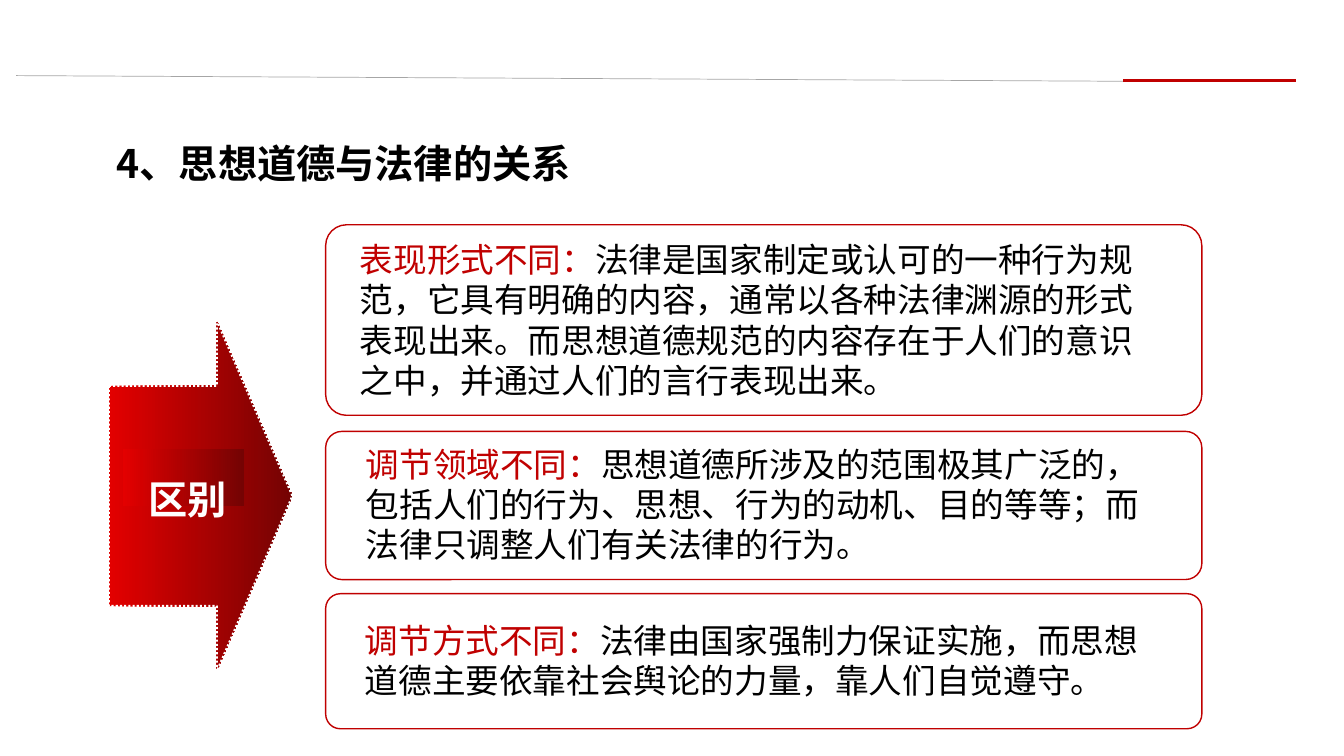
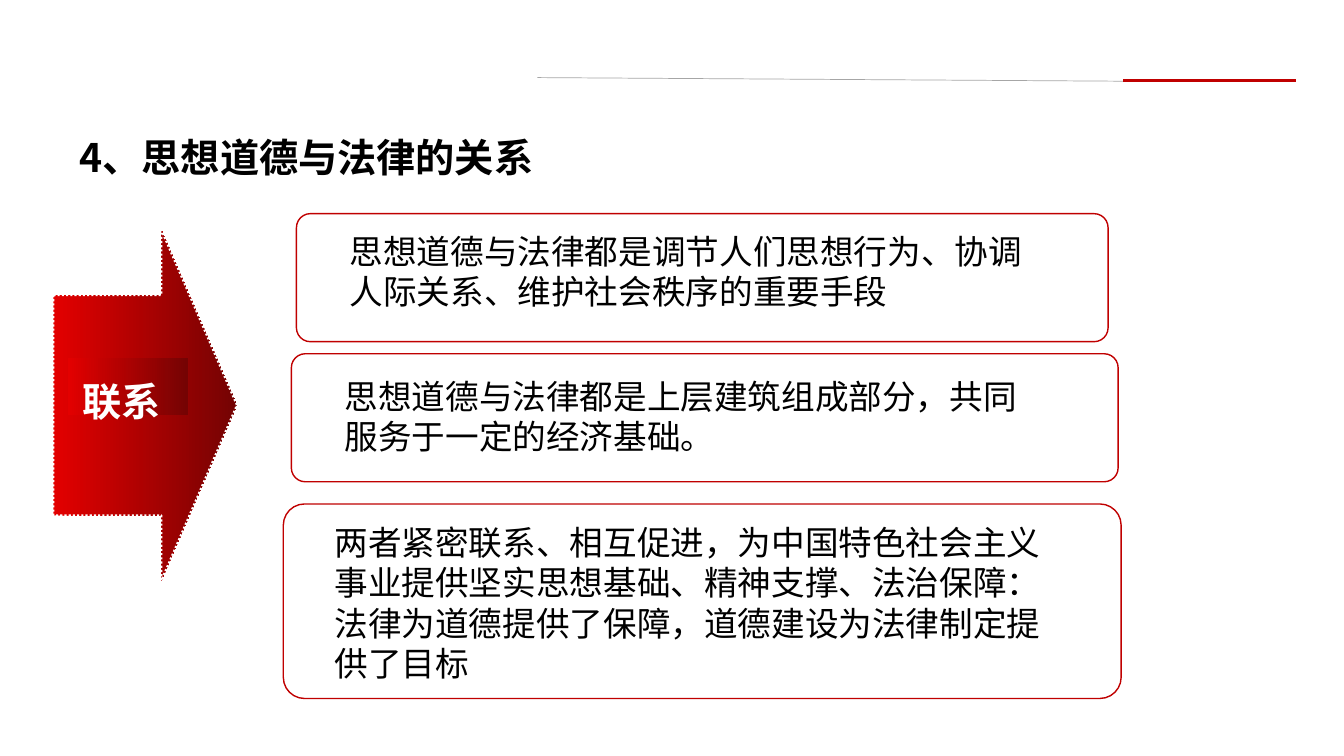
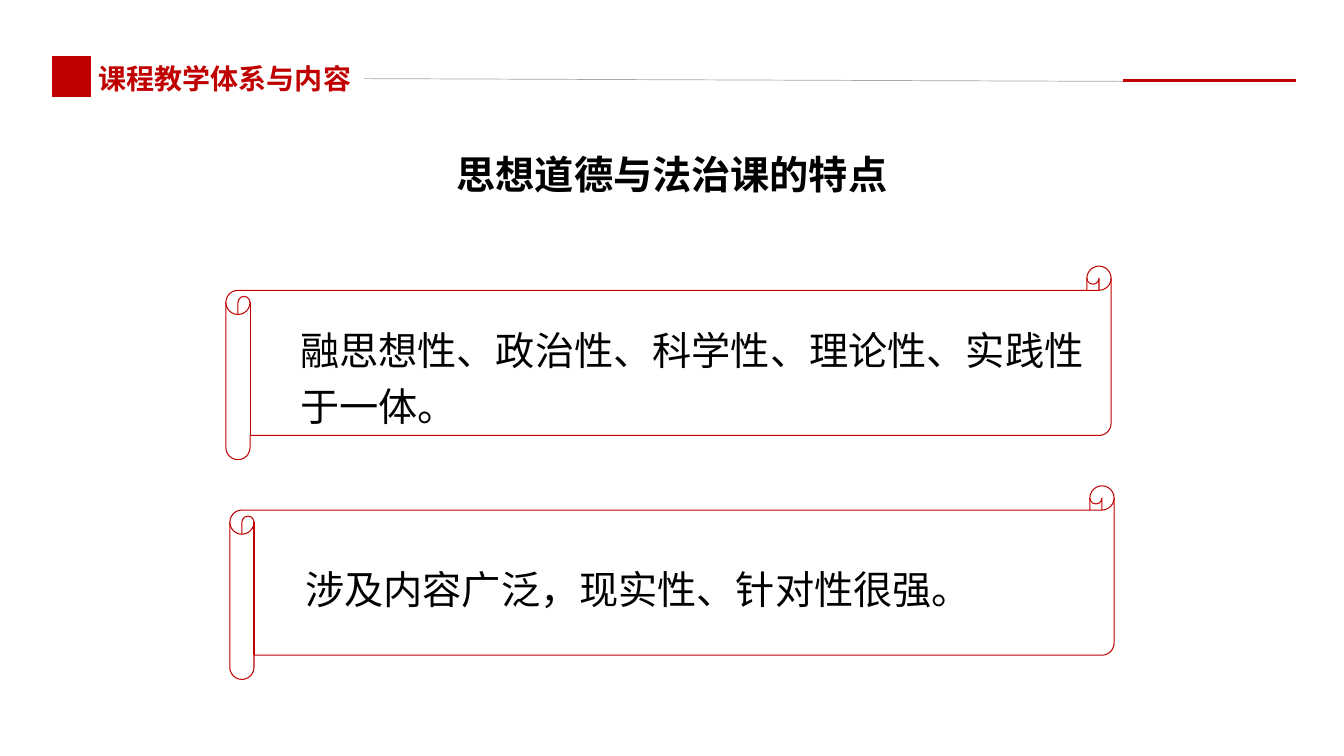
from dataclasses import dataclass

from lxml import etree
from pptx import Presentation
from pptx import util as u
from pptx.dml.color import RGBColor
from pptx.enum import dml, shapes, text
from pptx.oxml.ns import qn

PX = 9144


@dataclass(frozen=True)
class Theme:
    font: str = "Noto Sans CJK SC"
    red: str = "C00000"
    black: str = "000000"
    white: str = "FFFFFF"
    grey: str = "A6A6A6"
    arrow_light: str = "E30000"
    arrow_dark: str = "750303"
    heading: int = 28
    section: int = 20
    body: int = 24


THEME = Theme()
RELATION_TITLE = "4、思想道德与法律的关系"


def px(value):
    return u.Emu(value * PX)


def rgb(value):
    return RGBColor.from_string(value)


def add_rule(slide, start, end, color, width):
    rule = slide.shapes.add_connector(
        shapes.MSO_CONNECTOR.STRAIGHT, *map(px, start + end))
    rule.line.color.rgb = rgb(color)
    rule.line.width = u.Pt(width)
    etree.SubElement(rule._element.spPr, qn("a:effectLst"))


def add_outline(slide, preset, box, adjustments=(), color=None, width=1):
    outline = slide.shapes.add_shape(preset, *map(px, box))
    outline.shadow.inherit = False
    for index, value in enumerate(adjustments):
        outline.adjustments[index] = value
    outline.fill.background()
    if color:
        outline.line.color.rgb = rgb(color)
        outline.line.width = u.Pt(width)
    else:
        outline.line.fill.background()
    return outline


def add_text(slide, box, runs, size, bold=False, align=None, spacing=None, wrap=True):
    frame = slide.shapes.add_textbox(*map(px, box)).text_frame
    frame.word_wrap = wrap
    frame.auto_size = text.MSO_AUTO_SIZE.SHAPE_TO_FIT_TEXT
    paragraph = frame.paragraphs[0]
    paragraph.alignment = align
    paragraph.line_spacing = spacing
    for words, color in runs:
        run = paragraph.add_run()
        run.text = words
        run.font.size = u.Pt(size)
        run.font.bold = bold
        run.font.color.rgb = rgb(color)
        run.font.name = THEME.font
        etree.SubElement(run._r.rPr, qn("a:ea"), typeface=THEME.font)


def fill_gradient(part):
    part.fill.gradient()
    part.fill.gradient_angle = 0
    colors = (THEME.arrow_light, 0), (THEME.arrow_dark, 0.99)
    for stop, (color, position) in zip(part.fill.gradient_stops, colors):
        stop.color.rgb = rgb(color)
        stop.position = position


def add_arrow(slide, left, top, label, label_at):
    arrow = add_outline(slide, shapes.MSO_SHAPE.RIGHT_ARROW, (left, top, 182, 348),
                        (0.628, 0.412), THEME.white, 1.5)
    arrow.line.dash_style = dml.MSO_LINE.ROUND_DOT
    plate = add_outline(slide, shapes.MSO_SHAPE.RECTANGLE,
                        (left + 14, top + 127, 120, 57))
    for part in (arrow, plate):
        fill_gradient(part)
    add_text(slide, label_at + (122, 57), [(label, THEME.white)], THEME.heading, bold=True)


def add_card(slide, card_box, text_box, statement, lead=""):
    add_outline(slide, shapes.MSO_SHAPE.ROUNDED_RECTANGLE, card_box, (0.109,), THEME.red)
    runs = [(lead, THEME.red)] if lead else []
    add_text(slide, text_box, runs + [(statement, THEME.black)], THEME.body)


def add_scroll(slide, scroll_box, text_box, statement, spacing):
    add_outline(slide, shapes.MSO_SHAPE.HORIZONTAL_SCROLL, scroll_box, (0.125,),
                THEME.red, 0.75)
    add_text(slide, text_box, [(statement, THEME.black)], THEME.heading, spacing=spacing)


def new_slide(deck, rule_start):
    slide = deck.slides.add_slide(deck.slide_layouts[6])
    add_rule(slide, rule_start, (1183, 81), THEME.grey, 0.5)
    add_rule(slide, (1114, 80), (1285, 80), THEME.red, 2)
    return slide


def add_relation_title(slide, left, top):
    add_text(slide, (left, top, 1150, 78), [(RELATION_TITLE, THEME.black)], THEME.heading,
             bold=True, align=text.PP_ALIGN.JUSTIFY, spacing=1.44)


def build_differences(deck):
    slide = new_slide(deck, (16, 75))
    add_relation_title(slide, 106, 113)
    add_arrow(slide, 108, 318, "区别", (137, 467))
    differences = [
        (223, 189, (347, 232, 811, 171), "表现形式不同：",
         "法律是国家制定或认可的一种行为规范，它具有明确的内容，通常以各种法律渊源的形式"
         "表现出来。而思想道德规范的内容存在于人们的意识之中，并通过人们的言行表现出来。"),
        (428, 147, (353, 435, 792, 131), "调节领域不同：",
         "思想道德所涉及的范围极其广泛的，包括人们的行为、思想、行为的动机、目的等等；"
         "而法律只调整人们有关法律的行为。"),
        (589, 134, (352, 610, 788, 91), "调节方式不同：",
         "法律由国家强制力保证实施，而思想道德主要依靠社会舆论的力量，靠人们自觉遵守。"),
    ]
    for top, height, text_box, lead, statement in differences:
        add_card(slide, (323, top, 869, height), text_box, statement, lead)


def build_connections(deck):
    slide = new_slide(deck, (533, 77))
    add_relation_title(slide, 69, 107)
    add_arrow(slide, 53, 228, "联系", (72, 369))
    connections = [
        ((294, 212, 805, 127), (337, 224, 701, 91),
         "思想道德与法律都是调节人们思想行为、协调人际关系、维护社会秩序的重要手段"),
        ((289, 351, 820, 127), (332, 368, 714, 91),
         "思想道德与法律都是上层建筑组成部分，共同服务于一定的经济基础。"),
        ((281, 500, 831, 193), (322, 513, 743, 172),
         "两者紧密联系、相互促进，为中国特色社会主义事业提供坚实思想基础、精神支撑、"
         "法治保障：法律为道德提供了保障，道德建设为法律制定提供了目标"),
    ]
    for connection in connections:
        add_card(slide, *connection)


def build_features(deck):
    slide = new_slide(deck, (361, 78))
    add_text(slide, (88, 56, 273, 44), [("课程教学体系与内容", THEME.red)], THEME.section,
             bold=True, wrap=False)
    marker = add_outline(slide, shapes.MSO_SHAPE.RECTANGLE, (52, 56, 38, 40),
                         color=THEME.red, width=0.75)
    marker.fill.solid()
    marker.fill.fore_color.rgb = rgb(THEME.red)
    add_text(slide, (0, 144, 1333, 57), [("思想道德与法治课的特点", THEME.black)],
             THEME.heading, bold=True, align=text.PP_ALIGN.CENTER)
    add_scroll(slide, (224, 264, 878, 192), (288, 309, 813, 123),
               "融思想性、政治性、科学性、理论性、实践性于一体。", 1.2)
    add_scroll(slide, (228, 482, 877, 192), (293, 542, 804, 71),
               "涉及内容广泛，现实性、针对性很强。", 1.3)


def main():
    deck = Presentation()
    deck.slide_width = px(1333)
    deck.slide_height = px(750)
    build_differences(deck)
    build_connections(deck)
    build_features(deck)
    deck.save("out.pptx")


if __name__ == "__main__":
    main()
